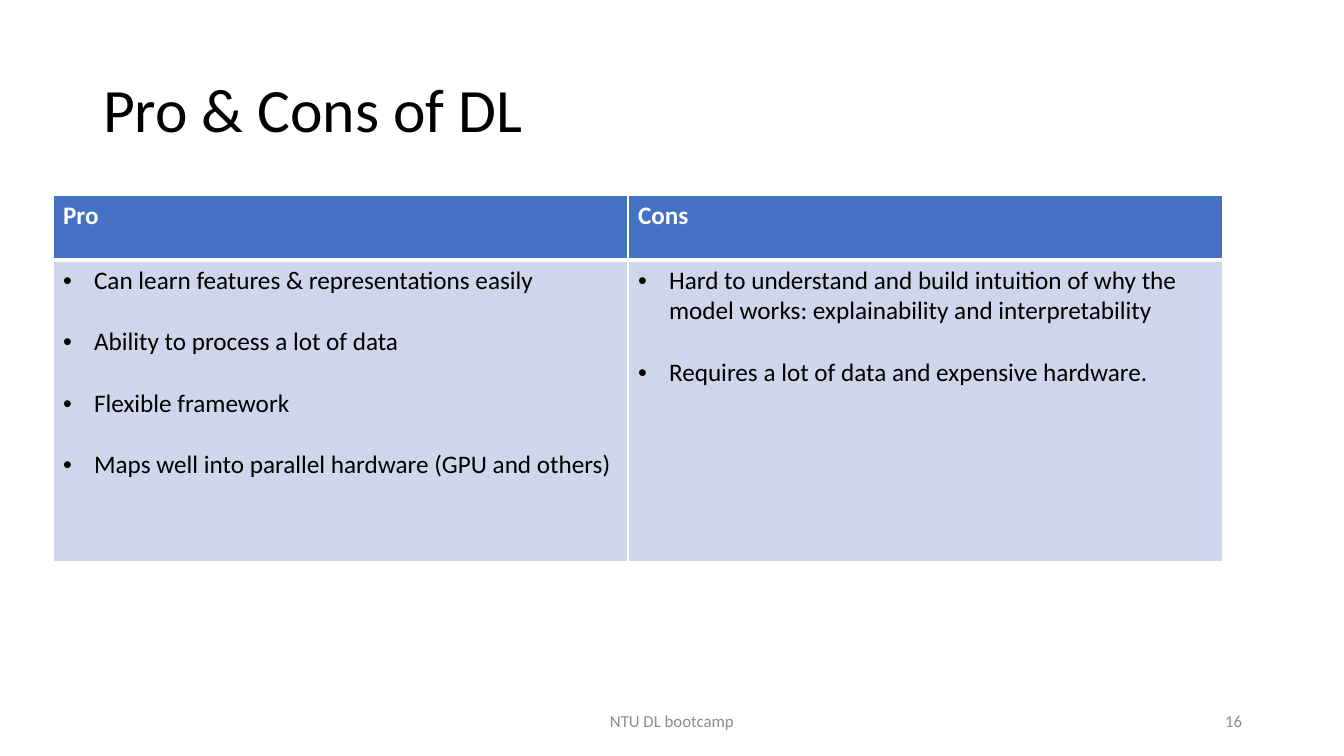
from lxml import etree
from pptx import Presentation
from pptx import util as u
from pptx.dml.color import RGBColor
from pptx.enum import text
from pptx.oxml import ns

SCALE = 12192000 / 1344


def px(length):
    return u.Emu(round(length * SCALE))


def write(paragraph, wording, size, colour, bold=False):
    run = paragraph.add_run()
    run.text = wording
    run.font.name = "Calibri"
    run.font.size = u.Pt(size)
    run.font.bold = bold
    run.font.color.rgb = RGBColor.from_string(colour)


deck = Presentation()
deck.slide_width, deck.slide_height = px(1344), px(756)
slide = deck.slides.add_slide(deck.slide_layouts[5])

title = slide.shapes.title
title.left, title.top, title.width, title.height = px(93), px(40), px(1159), px(146)
title.text_frame.auto_size = text.MSO_AUTO_SIZE.NONE
title.text_frame.vertical_anchor = text.MSO_ANCHOR.MIDDLE
heading = title.text_frame.paragraphs[0]
heading.alignment = text.PP_ALIGN.LEFT
heading.line_spacing = 0.9
write(heading, "Pro & Cons of DL", 44, "000000")

for left, width, alignment, wording in [
    (445, 454, text.PP_ALIGN.CENTER, "NTU DL bootcamp"),
    (950, 302, text.PP_ALIGN.RIGHT, "16"),
]:
    footer = slide.shapes.add_textbox(px(left), px(701), px(width), px(40)).text_frame
    footer.word_wrap = True
    footer.vertical_anchor = text.MSO_ANCHOR.MIDDLE
    footer.paragraphs[0].alignment = alignment
    write(footer.paragraphs[0], wording, 12, "8C8C8C")

arguments = {
    "Pro": [
        "Can learn features & representations easily",
        "Ability to process a lot of data",
        "Flexible framework",
        "Maps well into parallel hardware (GPU and others)",
    ],
    "Cons": [
        "Hard to understand and build intuition of why the model works: "
        "explainability and interpretability",
        "Requires a lot of data and expensive hardware.",
    ],
}
comparison = slide.shapes.add_table(2, 2, px(53), px(195), px(1170), px(367)).table
comparison.rows[0].height, comparison.rows[1].height = px(65), px(302)
comparison.columns[0].width, comparison.columns[1].width = px(575), px(595)

for column, (side, points) in enumerate(arguments.items()):
    header, body = comparison.cell(0, column), comparison.cell(1, column)
    write(header.text_frame.paragraphs[0], side, 18, "FFFFFF", True)

    for index, point in enumerate(points):
        item = body.text_frame.paragraphs[0] if index == 0 else body.text_frame.add_paragraph()
        properties = item._p.get_or_add_pPr()
        properties.set("marL", str(px(31)))
        properties.set("indent", str(-px(31)))
        etree.SubElement(properties, ns.qn("a:buFont"), typeface="Arial")
        etree.SubElement(properties, ns.qn("a:buChar"), char="•")
        if index:
            item.space_before = u.Pt(22)
        write(item, point, 18, "000000")

    for cell, fill, thick_edge in [(header, "4472C4", "lnB"), (body, "CFD5EA", "lnT")]:
        for edge in ("lnL", "lnR", "lnT", "lnB"):
            width = u.Pt(3 if edge == thick_edge else 1)
            line = etree.SubElement(cell._tc.get_or_add_tcPr(), ns.qn("a:" + edge), w=str(width))
            paint = etree.SubElement(line, ns.qn("a:solidFill"))
            etree.SubElement(paint, ns.qn("a:srgbClr"), val="FFFFFF")
        cell.fill.solid()
        cell.fill.fore_color.rgb = RGBColor.from_string(fill)

deck.save("out.pptx")
